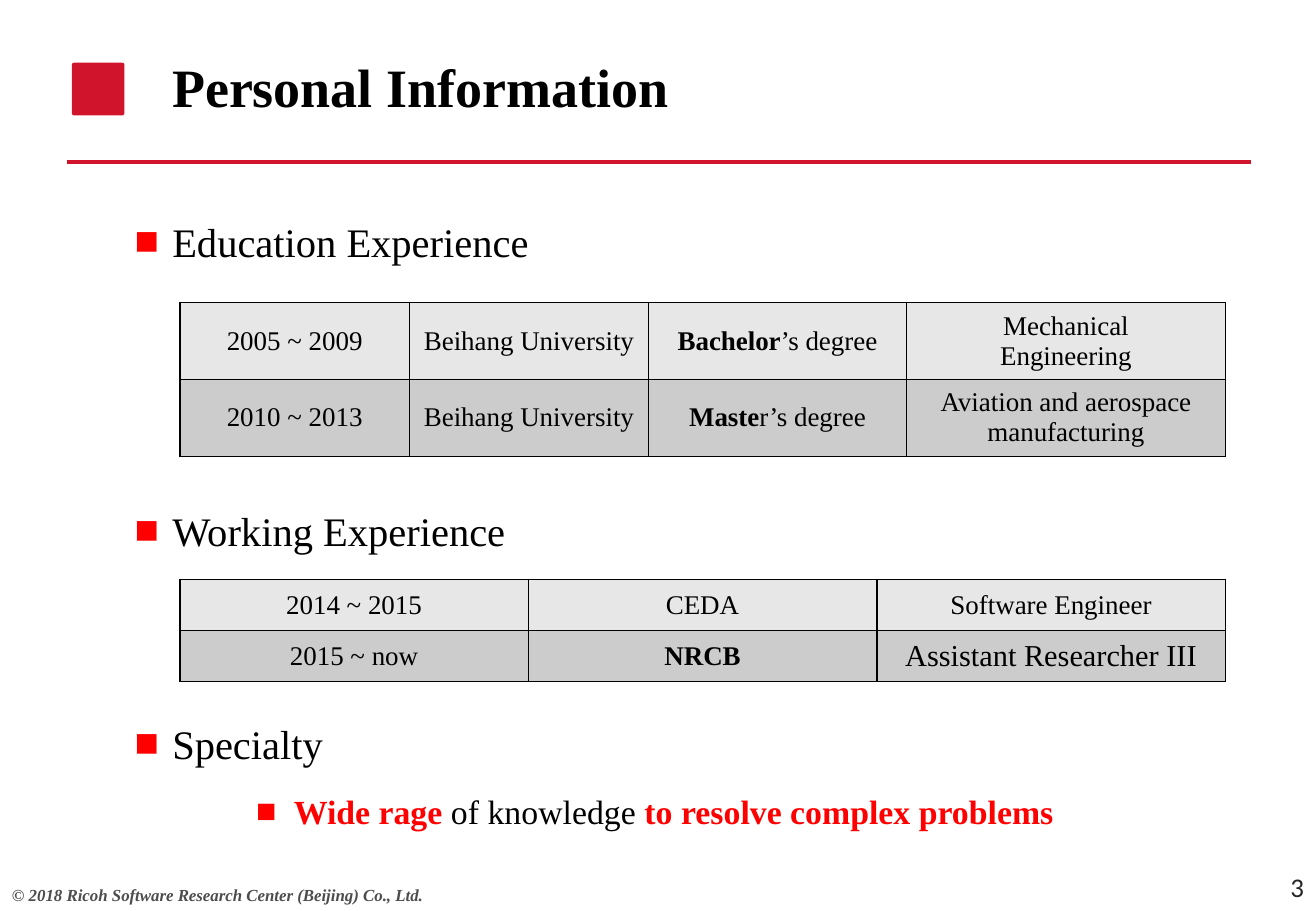
from dataclasses import dataclass

from pptx import Presentation
from pptx.dml.color import RGBColor
from pptx.enum.shapes import MSO_CONNECTOR, MSO_SHAPE
from pptx.enum.text import MSO_ANCHOR, MSO_AUTO_SIZE, PP_ALIGN
from pptx.oxml import parse_xml
from pptx.oxml.ns import nsdecls
from pptx.oxml.xmlchemy import OxmlElement
from pptx.util import Inches, Pt


@dataclass(frozen=True)
class Theme:
    """Colours, fonts and type sizes of the slide."""
    serif: str = "Times New Roman"
    sans: str = "Calibri"
    brand: str = "CF142B"
    accent: str = "FF0000"
    ink: str = "000000"
    footer_ink: str = "4D4D4D"
    number_ink: str = "262626"
    row_fills: tuple = ("E7E7E7", "CCCCCC")
    title: int = 32
    heading: int = 24
    detail: int = 20
    emphasis: int = 18
    cell: int = 16
    footer: int = 10


class SlideBuilder:
    """Places styled elements on a grid of 130 columns by 90 rows."""
    COLUMNS, ROWS = 130, 90

    def __init__(self, deck, theme):
        """Add a title-and-body slide to the deck."""
        self.theme = theme
        self.column = deck.slide_width / self.COLUMNS
        self.row = deck.slide_height / self.ROWS
        self.slide = deck.slides.add_slide(deck.slide_layouts[1])

    def area(self, left, top, width, height):
        """Turn grid units into slide lengths."""
        return (round(left * self.column), round(top * self.row),
                round(width * self.column), round(height * self.row))

    def add_text(self, paragraph, text, size, color=None, strong_color=None,
                 font=None, bold=False, italic=False):
        """Add text whose parts between asterisks are strong."""
        for index, part in enumerate(text.split("*")):
            if not part:
                continue
            strong = index % 2 == 1
            run = paragraph.add_run()
            run.text = part
            run.font.name = font or self.theme.serif
            run.font.size = Pt(size)
            run.font.bold = bold or strong
            run.font.italic = italic
            shade = strong_color if strong and strong_color else color
            run.font.color.rgb = RGBColor.from_string(shade or self.theme.ink)

    def settle(self, placeholder, area, anchor):
        """Move a placeholder and return its text frame."""
        (placeholder.left, placeholder.top,
         placeholder.width, placeholder.height) = self.area(*area)
        frame = placeholder.text_frame
        frame.auto_size = MSO_AUTO_SIZE.NONE
        frame.vertical_anchor = anchor
        return frame

    def title(self, text, area):
        """Fill the title placeholder."""
        frame = self.settle(self.slide.shapes.title, area, MSO_ANCHOR.MIDDLE)
        heading = frame.paragraphs[0]
        heading.alignment = PP_ALIGN.LEFT
        self.add_text(heading, text, self.theme.title, bold=True)

    def outline(self, entries, area):
        """Fill the body with (text, level, space before) entries."""
        frame = self.settle(self.slide.placeholders[1], area, MSO_ANCHOR.TOP)
        for index, (text, level, gap) in enumerate(entries):
            entry = frame.add_paragraph() if index else frame.paragraphs[0]
            entry.level = level
            entry.line_spacing = 1.0
            entry.space_before = Pt(gap)
            self.bullet(entry, 0.31 + level)
            size = self.theme.detail if level else self.theme.heading
            self.add_text(entry, text, size, strong_color=self.theme.accent)

    def bullet(self, paragraph, indent):
        """Give a paragraph a hanging square bullet."""
        properties = paragraph._p.get_or_add_pPr()
        properties.set("marL", str(Inches(indent)))
        properties.set("indent", str(Inches(-0.31)))
        for markup in (
                f'<a:buClr {nsdecls("a")}><a:srgbClr val="{self.theme.accent}"/></a:buClr>',
                f'<a:buFont {nsdecls("a")} typeface="{self.theme.serif}"/>',
                f'<a:buChar {nsdecls("a")} char="■"/>'):
            properties.append(parse_xml(markup))

    def note(self, text, area, size, align=PP_ALIGN.LEFT, **style):
        """Add a small one-line text box."""
        frame = self.slide.shapes.add_textbox(*self.area(*area)).text_frame
        frame.word_wrap = True
        frame.vertical_anchor = MSO_ANCHOR.MIDDLE
        frame.paragraphs[0].alignment = align
        self.add_text(frame.paragraphs[0], text, size, **style)

    def rule(self, left, right, top):
        """Draw the horizontal line under the title."""
        x, y, width, _ = self.area(left, top, right - left, 0)
        divider = self.slide.shapes.add_connector(
            MSO_CONNECTOR.STRAIGHT, x, y, x + width, y)
        divider.line.color.rgb = RGBColor.from_string(self.theme.brand)
        divider.line.width = Pt(2)
        divider._element.spPr.append(OxmlElement("a:effectLst"))

    def mark(self, area):
        """Draw the plain square beside the title."""
        square = self.slide.shapes.add_shape(
            MSO_SHAPE.ROUNDED_RECTANGLE, *self.area(*area))
        square.adjustments[0] = 0.04
        square.shadow.inherit = False
        square.fill.solid()
        square.fill.fore_color.rgb = RGBColor.from_string(self.theme.brand)
        square.line.fill.background()

    def table(self, records, left, top, widths, row_height, large=()):
        """Add a bordered table with one fill per row."""
        area = self.area(left, top, sum(widths), row_height * len(records))
        grid = self.slide.shapes.add_table(len(records), len(widths), *area).table
        grid.first_row = grid.horz_banding = False
        for column, width in zip(grid.columns, widths):
            column.width = round(width * self.column)
        for row, record, fill in zip(grid.rows, records, self.theme.row_fills):
            row.height = round(row_height * self.row)
            for cell, text in zip(row.cells, record):
                size = self.theme.emphasis if text in large else self.theme.cell
                self.cell(cell, text, fill, size)

    def cell(self, cell, text, fill, size):
        """Fill, border and letter one table cell."""
        properties = cell._tc.get_or_add_tcPr()
        for side in "LRTB":
            properties.append(parse_xml(
                f'<a:ln{side} {nsdecls("a")} w="{Pt(1)}"><a:solidFill>'
                f'<a:srgbClr val="{self.theme.ink}"/></a:solidFill></a:ln{side}>'))
        cell.fill.solid()
        cell.fill.fore_color.rgb = RGBColor.from_string(fill)
        cell.vertical_anchor = MSO_ANCHOR.MIDDLE
        frame = cell.text_frame
        for index, line in enumerate(text.split("\n")):
            paragraph = frame.add_paragraph() if index else frame.paragraphs[0]
            paragraph.alignment = PP_ALIGN.CENTER
            self.add_text(paragraph, line, size)


def main():
    """Build and save the personal information slide."""
    theme = Theme()
    deck = Presentation()
    deck.slide_width, deck.slide_height = Inches(10.83), Inches(7.5)
    page = SlideBuilder(deck, theme)

    page.rule(6.6, 123.6, 16)
    page.mark((7.1, 6.2, 5.2, 5.2))
    page.title("Personal Information", (15.8, 4.3, 80.6, 8.4))
    page.outline([
        ("Education Experience", 0, 0),
        ("Working Experience", 0, 142.5),
        ("Specialty", 0, 97.5),
        ("*Wide rage *of knowledge *to resolve complex problems*", 1, 14),
    ], (12.1, 20.8, 112, 62))

    education = [
        ("2005 ~ 2009", "Beihang University", "*Bachelor*’s degree",
         "Mechanical\nEngineering"),
        ("2010 ~ 2013", "Beihang University", "*Maste*r’s degree",
         "Aviation and aerospace manufacturing"),
    ]
    page.table(education, 17.76, 29.88, (22.7, 23.6, 25.5, 31.5), 7.6)

    current_role = "Assistant Researcher III"
    work = [
        ("2014 ~ 2015", "CEDA", "Software Engineer"),
        ("2015 ~ now", "*NRCB*", current_role),
    ]
    page.table(work, 17.76, 57.24, (34.43,) * 3, 5.04, large=(current_role,))

    page.note("© 2018 Ricoh Software Research Center (Beijing) Co., Ltd.",
              (0, 86.8, 44.4, 3.2), theme.footer, color=theme.footer_ink,
              bold=True, italic=True)
    page.note("3", (116, 85.2, 14, 4.8), theme.cell, PP_ALIGN.RIGHT,
              color=theme.number_ink, font=theme.sans)
    deck.save("out.pptx")


if __name__ == "__main__":
    main()
